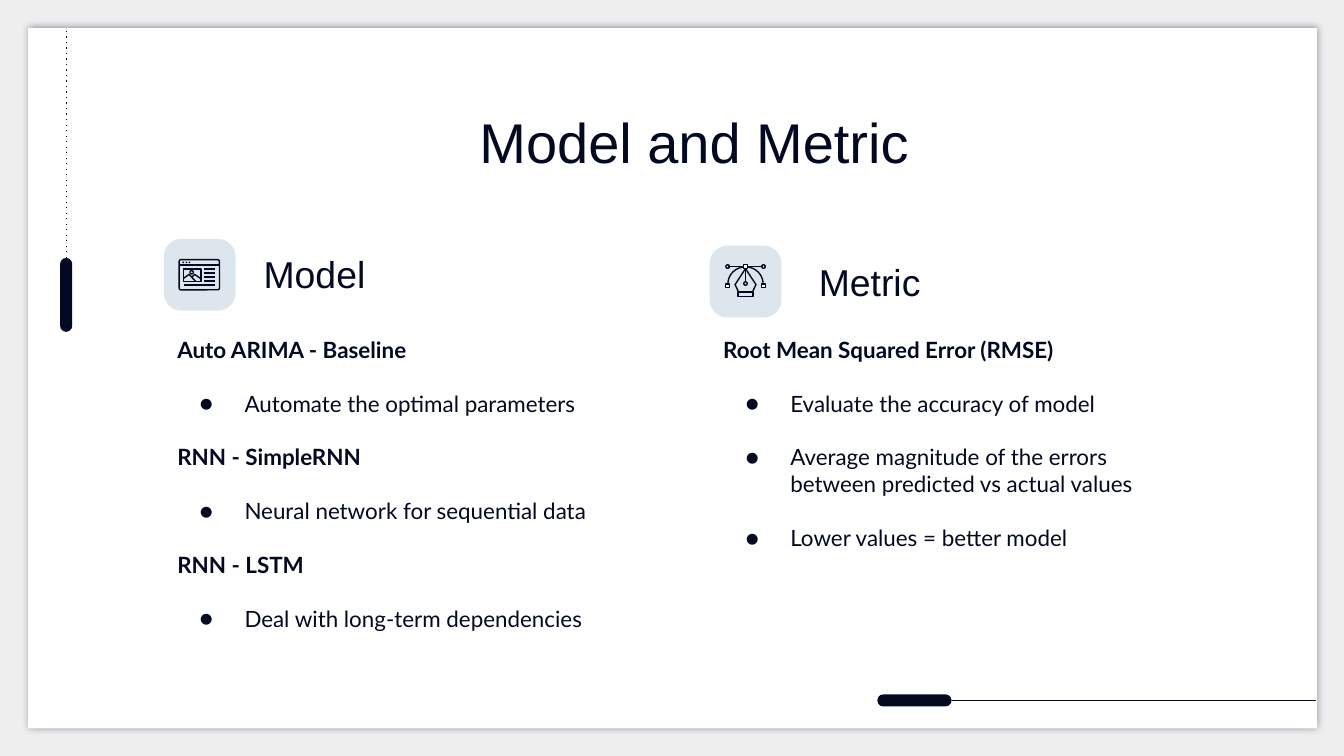
from dataclasses import dataclass
from math import cos, pi, sin
from typing import Callable

from lxml.etree import SubElement
from pptx import Presentation
from pptx.dml.color import RGBColor
from pptx.enum.shapes import MSO_CONNECTOR, MSO_SHAPE
from pptx.enum.text import MSO_ANCHOR, MSO_AUTO_SIZE, PP_ALIGN
from pptx.oxml.ns import qn
from pptx.util import Pt

NAVY = RGBColor(0x03, 0x09, 0x20)
PALE_BLUE = RGBColor(0xDD, 0xE6, 0xED)
WHITE = RGBColor(0xFF, 0xFF, 0xFF)
GREY = RGBColor(0xEE, 0xEE, 0xEE)
TILE_SIZE = 38.4
BODY_TOP = 172.8
BODY_WIDTH = 241.2
STROKE = 0.75


@dataclass
class Entry:
    text: str
    bullet: bool = True


@dataclass
class Column:
    heading: str
    left: float
    tile_top: float
    heading_left: float
    heading_top: float
    body_height: float
    entries: list[Entry]
    draw_icon: Callable


@dataclass
class Canvas:
    shapes: object
    left: float = 0
    top: float = 0

    def shape(self, kind, x, y, width, height, fill=None, outlined=False, radius=None):
        item = self.shapes.add_shape(
            kind, Pt(self.left + x), Pt(self.top + y), Pt(width), Pt(height))
        if radius is not None:
            item.adjustments[0] = radius
        return paint(item, fill, outlined)

    def dot(self, x: float, y: float, size: float, outlined: bool = False) -> None:
        self.shape(MSO_SHAPE.OVAL, x - size / 2, y - size / 2, size, size,
                   None if outlined else NAVY, outlined)

    def square(self, x: float, y: float, size: float = 2) -> None:
        self.shape(MSO_SHAPE.RECTANGLE, x - size / 2, y - size / 2, size, size, WHITE, True)

    def line(self, x1: float, y1: float, x2: float, y2: float, dash: str = "solid") -> None:
        rule = self.shapes.add_connector(
            MSO_CONNECTOR.STRAIGHT, Pt(self.left + x1), Pt(self.top + y1),
            Pt(self.left + x2), Pt(self.top + y2))
        rule.line.color.rgb = NAVY
        rule.line.width = Pt(STROKE)
        properties = rule.line._get_or_add_ln()
        SubElement(properties, qn("a:prstDash"), val=dash)
        SubElement(properties.getparent(), qn("a:effectLst"))

    def outline(self, points: list[tuple[float, float]], close: bool = False) -> None:
        spots = [(Pt(self.left + x), Pt(self.top + y)) for x, y in points]
        builder = self.shapes.build_freeform(*spots[0])
        builder.add_line_segments(spots[1:], close=close)
        paint(builder.convert_to_shape(), None, True)


def paint(item, fill: RGBColor | None, outlined: bool):
    item.shadow.inherit = False
    if fill is None:
        item.fill.background()
    else:
        item.fill.solid()
        item.fill.fore_color.rgb = fill
    if outlined:
        item.line.color.rgb = NAVY
        item.line.width = Pt(STROKE)
    else:
        item.line.fill.background()
    return item


def draw_browser(icon: Canvas) -> None:
    icon.shape(MSO_SHAPE.ROUNDED_RECTANGLE, 8.2, 11.1, 21.6, 16.2, outlined=True, radius=0.06)
    icon.line(8.2, 14, 29.8, 14)
    for position in range(3):
        icon.dot(10.4 + 1.65 * position, 12.6, 0.9)
    icon.shape(MSO_SHAPE.RECTANGLE, 10.4, 16.2, 9.5, 6.5, outlined=True)
    icon.outline([(10.4, 21.2), (13.5, 19), (17, 22.7)])
    icon.outline([(15.1, 20.4), (16.6, 19), (19.9, 21.4)])
    icon.dot(14.9, 17.9, 1.8, True)
    for row in range(4):
        icon.line(21.6, 16.2 + 2.1 * row, 27.6, 16.2 + 2.1 * row)
    icon.line(10.8, 24.7, 27.6, 24.7)


def draw_pen(icon: Canvas) -> None:
    middle = TILE_SIZE / 2
    icon.line(middle - 9.6, 11.2, middle + 9.6, 11.2)
    icon.outline([(middle - 9.4 * cos(pi * step / 24), 20.4 - 9 * sin(pi * step / 24))
                  for step in range(25)])
    for side in (-1, 1):
        icon.dot(middle + side * 9.6, 11.2, 1.9, True)
        icon.square(middle + side * 9.6, 21.5)
    icon.outline([(middle, 12.3), (middle - 5.6, 20.9), (middle - 3.7, 24.9),
                  (middle + 3.7, 24.9), (middle + 5.6, 20.9)], close=True)
    icon.shape(MSO_SHAPE.RECTANGLE, middle - 4.1, 24.9, 8.2, 2.4, outlined=True)
    icon.line(middle, 12.3, middle, 19.3)
    icon.dot(middle, 20.3, 1.8, True)
    icon.square(middle, 11.2)


def place(holder, left: float, top: float, width: float, height: float,
          anchor: MSO_ANCHOR, inset_top: float = 7.2):
    holder.left, holder.top, holder.width, holder.height = map(Pt, (left, top, width, height))
    frame = holder.text_frame
    frame.word_wrap = True
    frame.auto_size = MSO_AUTO_SIZE.NONE
    frame.vertical_anchor = anchor
    frame.margin_left = frame.margin_right = frame.margin_bottom = Pt(7.2)
    frame.margin_top = Pt(inset_top)
    return frame


def format_paragraph(paragraph, font: str, size: float, bold: bool = False,
                     before: float = 0) -> None:
    paragraph.space_before = Pt(before)
    paragraph.space_after = Pt(0)
    paragraph.line_spacing = 1.0
    for run in paragraph.runs:
        run.font.name = font
        run.font.size = Pt(size)
        run.font.bold = bold
        run.font.color.rgb = NAVY


def write_heading(frame, text: str, size: float) -> None:
    frame.text = text
    paragraph = frame.paragraphs[0]
    paragraph.alignment = PP_ALIGN.CENTER
    format_paragraph(paragraph, "Arial", size)


def write_entries(frame, entries: list[Entry]) -> None:
    frame.text = "\n".join(entry.text for entry in entries)
    for index, (paragraph, entry) in enumerate(zip(frame.paragraphs, entries)):
        properties = paragraph._p.get_or_add_pPr()
        properties.set("marL", str(Pt(36) if entry.bullet else 0))
        properties.set("indent", str(Pt(-24) if entry.bullet else 0))
        if entry.bullet:
            color = SubElement(properties, qn("a:buClr"))
            SubElement(color, qn("a:srgbClr"), val=str(NAVY))
            SubElement(properties, qn("a:buFont"), typeface="Lato")
            SubElement(properties, qn("a:buChar"), char="●")
        else:
            SubElement(properties, qn("a:buNone"))
        format_paragraph(paragraph, "Lato", 12, not entry.bullet, 14.4 if index else 0)


def draw_panel(canvas: Canvas) -> None:
    panel = canvas.shape(MSO_SHAPE.RECTANGLE, 15.1, 15.1, 690.5, 375.1, WHITE)
    effects = panel._element.spPr.find(qn("a:effectLst"))
    shadow = SubElement(effects, qn("a:outerShdw"), blurRad=str(Pt(3.4)),
                        dist=str(Pt(0.8)), dir="0", algn="bl", rotWithShape="0")
    color = SubElement(shadow, qn("a:srgbClr"), val="2A3250")
    SubElement(color, qn("a:alpha"), val="50000")
    canvas.shapes._spTree.insert(2, panel._element)


def draw_column(canvas: Canvas, column: Column, heading, body) -> None:
    canvas.shape(MSO_SHAPE.ROUNDED_RECTANGLE, column.left, column.tile_top,
                 TILE_SIZE, TILE_SIZE, PALE_BLUE, radius=0.245)
    column.draw_icon(Canvas(canvas.shapes, column.left, column.tile_top))
    write_heading(place(heading, column.heading_left, column.heading_top, 99.4, 41.8,
                        MSO_ANCHOR.BOTTOM), column.heading, 20)
    write_entries(place(body, column.left, BODY_TOP, BODY_WIDTH, column.body_height,
                        MSO_ANCHOR.TOP), column.entries)


COLUMNS = [
    Column("Model", 87.8, 128, 118.8, 123.8, 200.2, [
        Entry("Auto ARIMA - Baseline", False),
        Entry("Automate the optimal parameters"),
        Entry("RNN - SimpleRNN", False),
        Entry("Neural network for sequential data"),
        Entry("RNN - LSTM", False),
        Entry("Deal with long-term dependencies"),
    ], draw_browser),
    Column("Metric", 380.2, 131.6, 416.2, 128.2, 133.2, [
        Entry("Root Mean Squared Error (RMSE)", False),
        Entry("Evaluate the accuracy of model"),
        Entry("Average magnitude of the errors between predicted vs actual values"),
        Entry("Lower values = better model"),
    ], draw_pen),
]


def main() -> None:
    deck = Presentation()
    deck.slide_width, deck.slide_height = Pt(720), Pt(405)
    slide = deck.slides.add_slide(deck.slide_layouts[4])
    slide.background.fill.solid()
    slide.background.fill.fore_color.rgb = GREY
    title, *holders = slide.placeholders
    canvas = Canvas(slide.shapes)
    draw_panel(canvas)
    canvas.line(35.5, 138.2, 35.5, 15.1, "dot")
    canvas.line(509.8, 375.3, 705, 375.3)
    for x, y, width, height in ((32.2, 138.2, 6.5, 39.6), (470, 372, 39.8, 6.5)):
        canvas.shape(MSO_SHAPE.ROUNDED_RECTANGLE, x, y, width, height, NAVY, radius=0.5)
    write_heading(place(title, 68.4, 46.8, 607, 45.4, MSO_ANCHOR.TOP, 10.7),
                  "Model and Metric", 30)
    for column, heading, body in zip(COLUMNS, holders[::2], holders[1::2]):
        draw_column(canvas, column, heading, body)
    deck.save("out.pptx")


if __name__ == "__main__":
    main()
